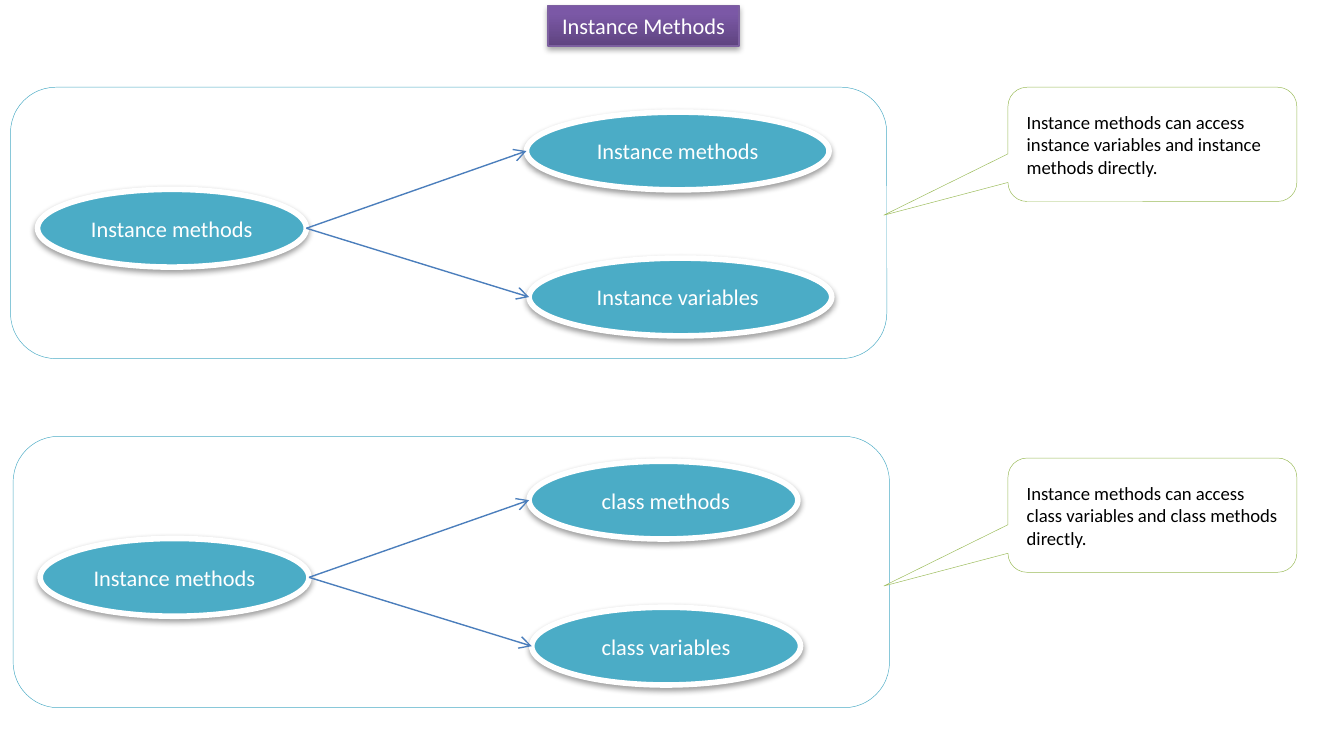
"""Builds a slide on what instance methods can access directly."""
from lxml.etree import SubElement
from pptx import Presentation
from pptx.dml.color import RGBColor
from pptx.enum.shapes import MSO_CONNECTOR, MSO_SHAPE
from pptx.enum.text import MSO_ANCHOR, MSO_AUTO_SIZE, PP_ALIGN
from pptx.oxml.ns import qn
from pptx.util import Cm, Pt

WHITE = RGBColor(0xFF, 0xFF, 0xFF)
BLACK = RGBColor(0x00, 0x00, 0x00)
TEAL = RGBColor(0x4B, 0xAC, 0xC6)
GREEN = RGBColor(0x9B, 0xBB, 0x59)
BLUE = RGBColor(0x4B, 0x7E, 0xBC)
PURPLE_DARK = RGBColor(0x5F, 0x44, 0x80)
PURPLE_LIGHT = RGBColor(0x7B, 0x58, 0xA6)
PURPLE_LINE = RGBColor(0x7D, 0x60, 0xA0)


def write_text(sp, text, size=12, color=WHITE, align=PP_ALIGN.CENTER):
    tf = sp.text_frame
    tf.word_wrap = True
    tf.auto_size = MSO_AUTO_SIZE.NONE
    tf.vertical_anchor = MSO_ANCHOR.MIDDLE
    p = tf.paragraphs[0]
    p.alignment = align
    r = p.add_run()
    r.text = text
    r.font.name = "Calibri"
    r.font.size = Pt(size)
    r.font.color.rgb = color


def style_shape(sp, line, width, fill=None, shadow=None):
    if fill is not None:
        sp.fill.solid()
        sp.fill.fore_color.rgb = fill
    sp.line.color.rgb = line
    sp.line.width = Pt(width)
    sp.shadow.inherit = False
    if shadow:
        dist, alpha = shadow
        effects = sp._element.spPr.find(qn("a:effectLst"))
        outer = SubElement(effects, qn("a:outerShdw"), blurRad="40000",
                           dist=str(dist), dir="5400000", rotWithShape="0")
        clr = SubElement(outer, qn("a:srgbClr"), val="000000")
        SubElement(clr, qn("a:alpha"), val=str(alpha))


prs = Presentation()
prs.slide_width, prs.slide_height = Cm(25.4), Cm(13.97)
s = prs.slides.add_slide(prs.slide_layouts[5])

title = s.shapes.title
title.left, title.top, title.width, title.height = Cm(10.36), Cm(0.1), Cm(3.61), Cm(0.77)
title.fill.gradient()
title.fill.gradient_angle = 90
for stop, pos, color in zip(title.fill.gradient_stops, (0, 0.8), (PURPLE_DARK, PURPLE_LIGHT)):
    stop.position = pos
    stop.color.rgb = color
style_shape(title, PURPLE_LINE, 0.75, shadow=(23000, 35000))
write_text(title, "Instance Methods")

groups = [
    (0.2, 1.65, 1.65, 5.72, ("Instance methods", "Instance variables "),
     "Instance methods can access instance variables and instance methods directly."),
    (0.25, 8.25, 8.66, 5.08, (" class methods", "class variables"),
     "Instance methods can access class variables and class methods directly."),
]
oval_h = 1.47

for left, top, note_top, target_w, targets, note in groups:
    panel = s.shapes.add_shape(MSO_SHAPE.ROUNDED_RECTANGLE, Cm(left), Cm(top), Cm(16.56), Cm(5.13))
    style_shape(panel, TEAL, 0.25, fill=WHITE)

    ovals = [
        ("Instance methods", left + 0.51, top + 1.93, 5.08),
        (targets[0], left + 9.75, top + 0.47, target_w),
        (targets[1], left + 9.8, top + 3.23, target_w),
    ]
    for text, x, y, w in ovals:
        sp = s.shapes.add_shape(MSO_SHAPE.OVAL, Cm(x), Cm(y), Cm(w), Cm(oval_h))
        style_shape(sp, WHITE, 3, fill=TEAL, shadow=(20000, 38000))
        write_text(sp, text)

    _, x0, y0, w0 = ovals[0]
    for _, x, y, _ in ovals[1:]:
        arrow = s.shapes.add_connector(MSO_CONNECTOR.STRAIGHT, Cm(x0 + w0), Cm(y0 + oval_h / 2),
                                       Cm(x), Cm(y + oval_h / 2))
        arrow.line.color.rgb = BLUE
        arrow.line.width = Pt(0.75)
        spPr = arrow._element.spPr
        SubElement(spPr.find(qn("a:ln")), qn("a:tailEnd"), type="arrow")
        SubElement(spPr, qn("a:effectLst"))

    callout = s.shapes.add_shape(MSO_SHAPE.ROUNDED_RECTANGULAR_CALLOUT,
                                 Cm(19.05), Cm(note_top), Cm(5.46), Cm(2.16))
    callout.adjustments[0] = -0.93
    callout.adjustments[1] = 0.62
    style_shape(callout, GREEN, 0.25, fill=WHITE)
    write_text(callout, note, size=10, color=BLACK, align=PP_ALIGN.LEFT)

prs.save("out.pptx")
